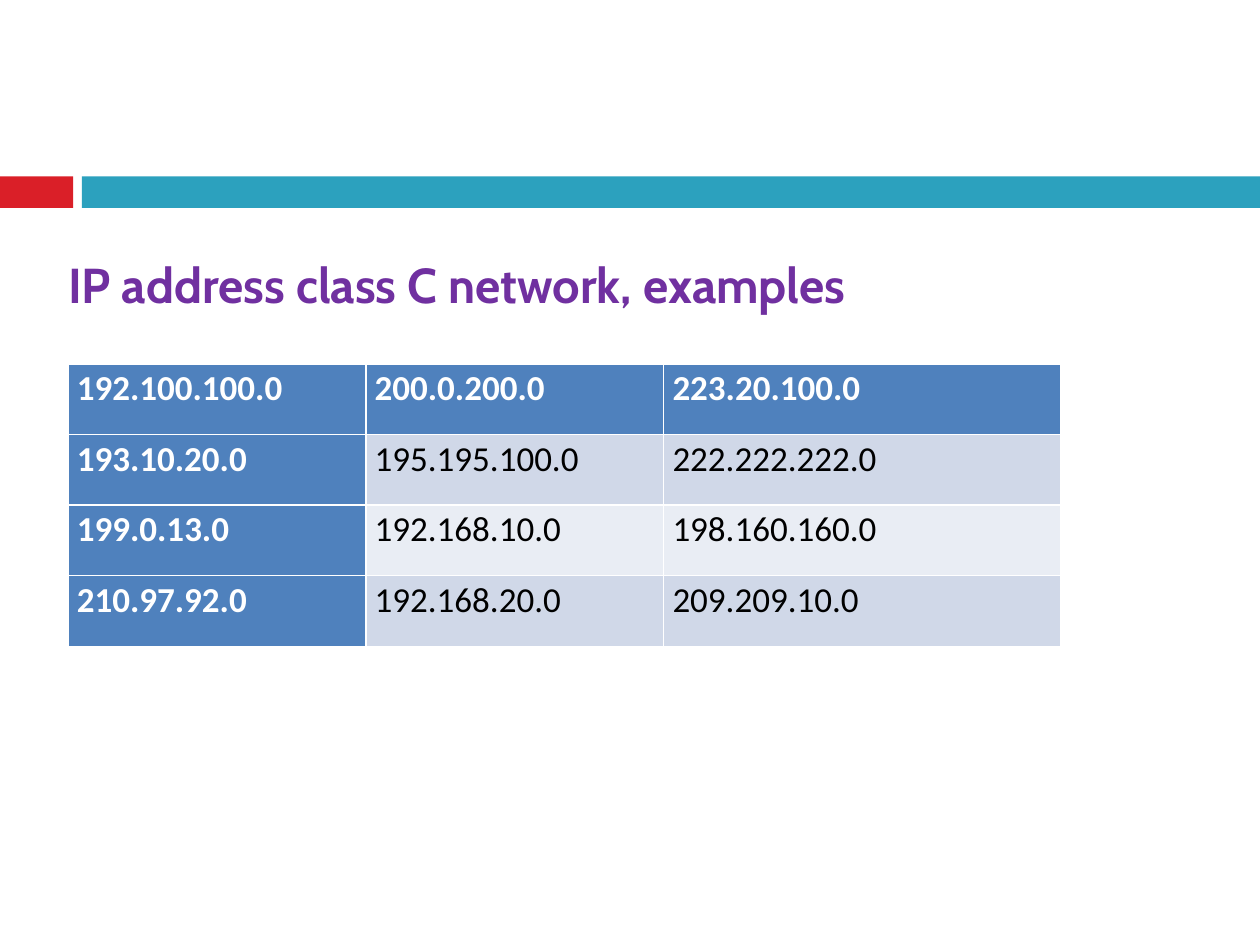
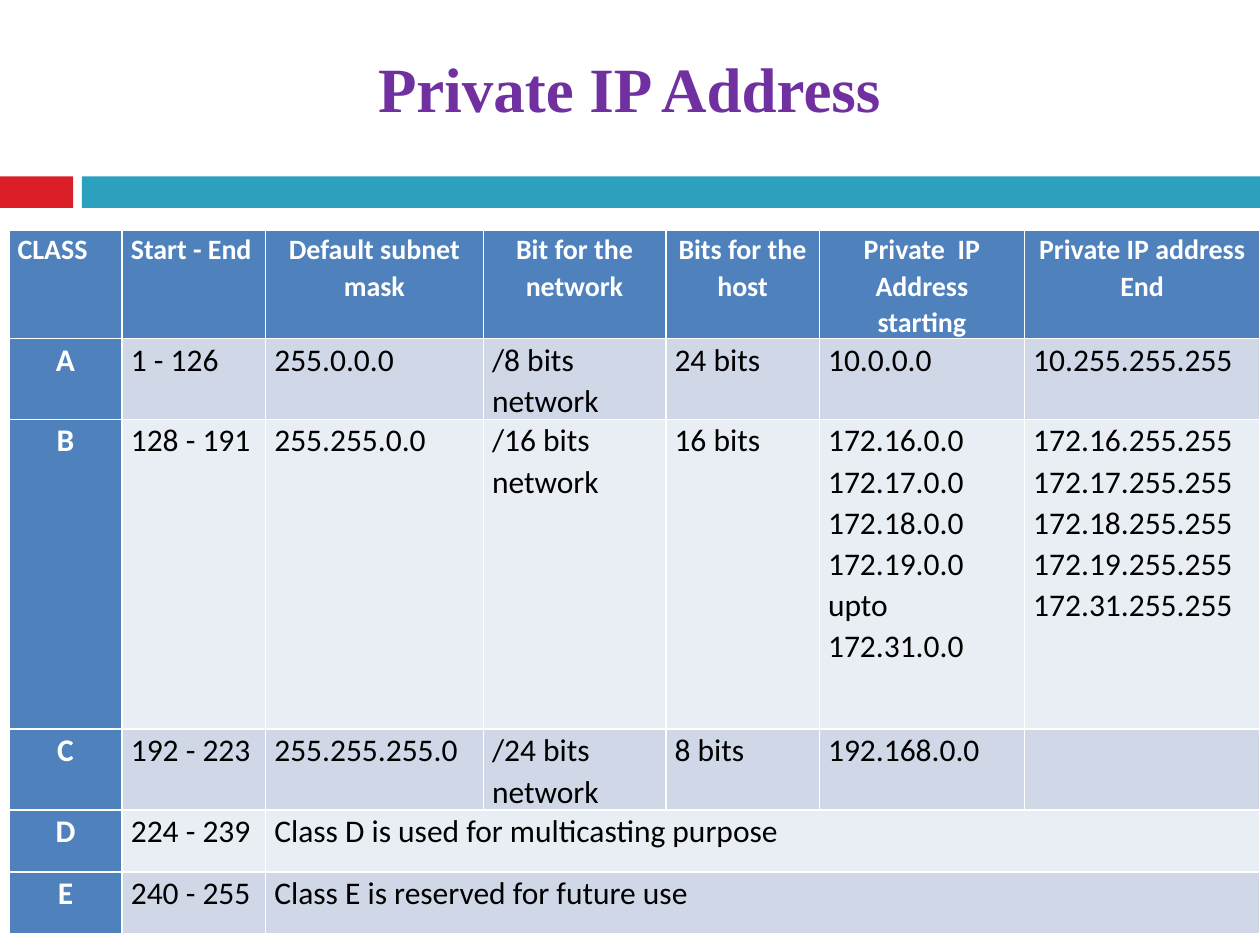
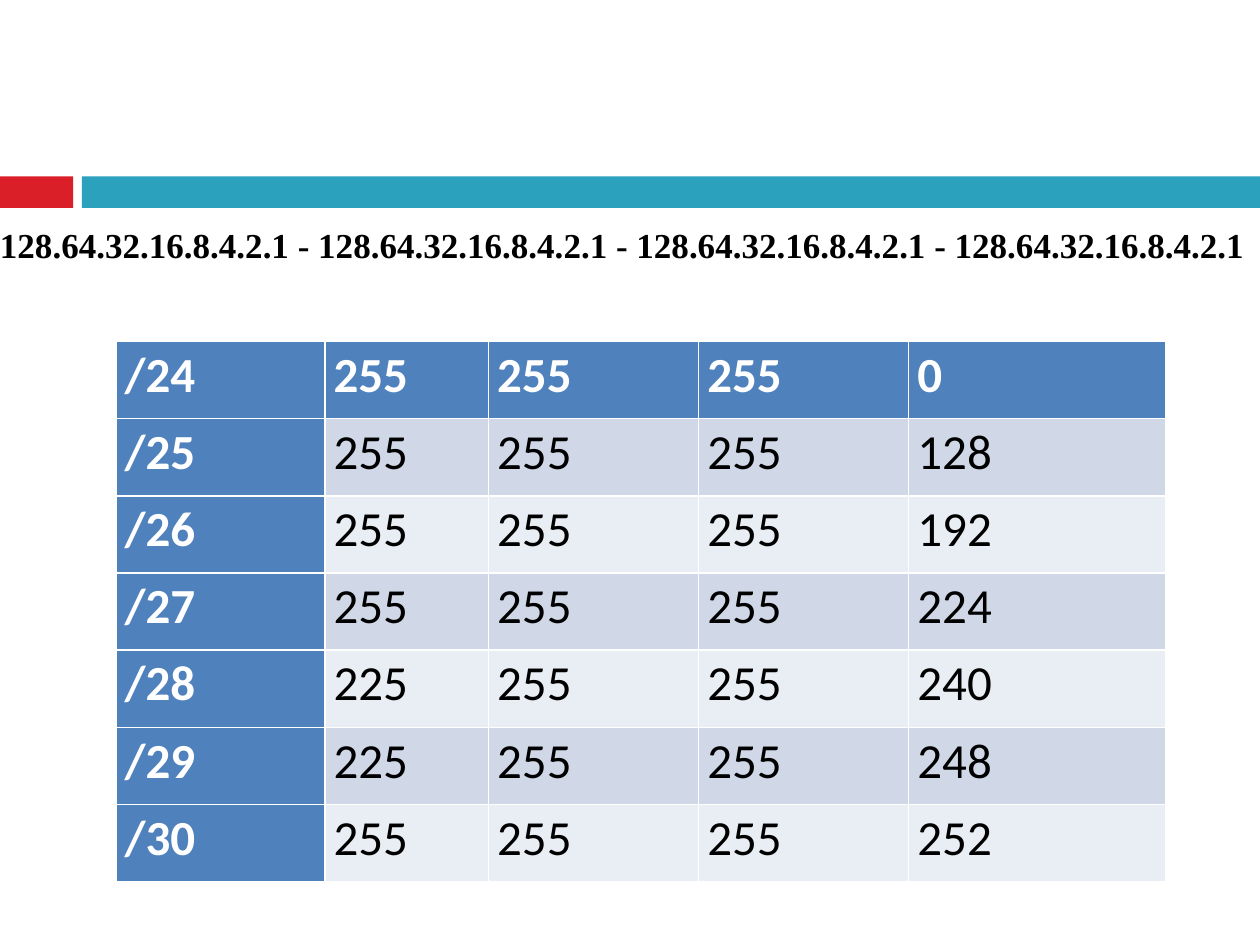
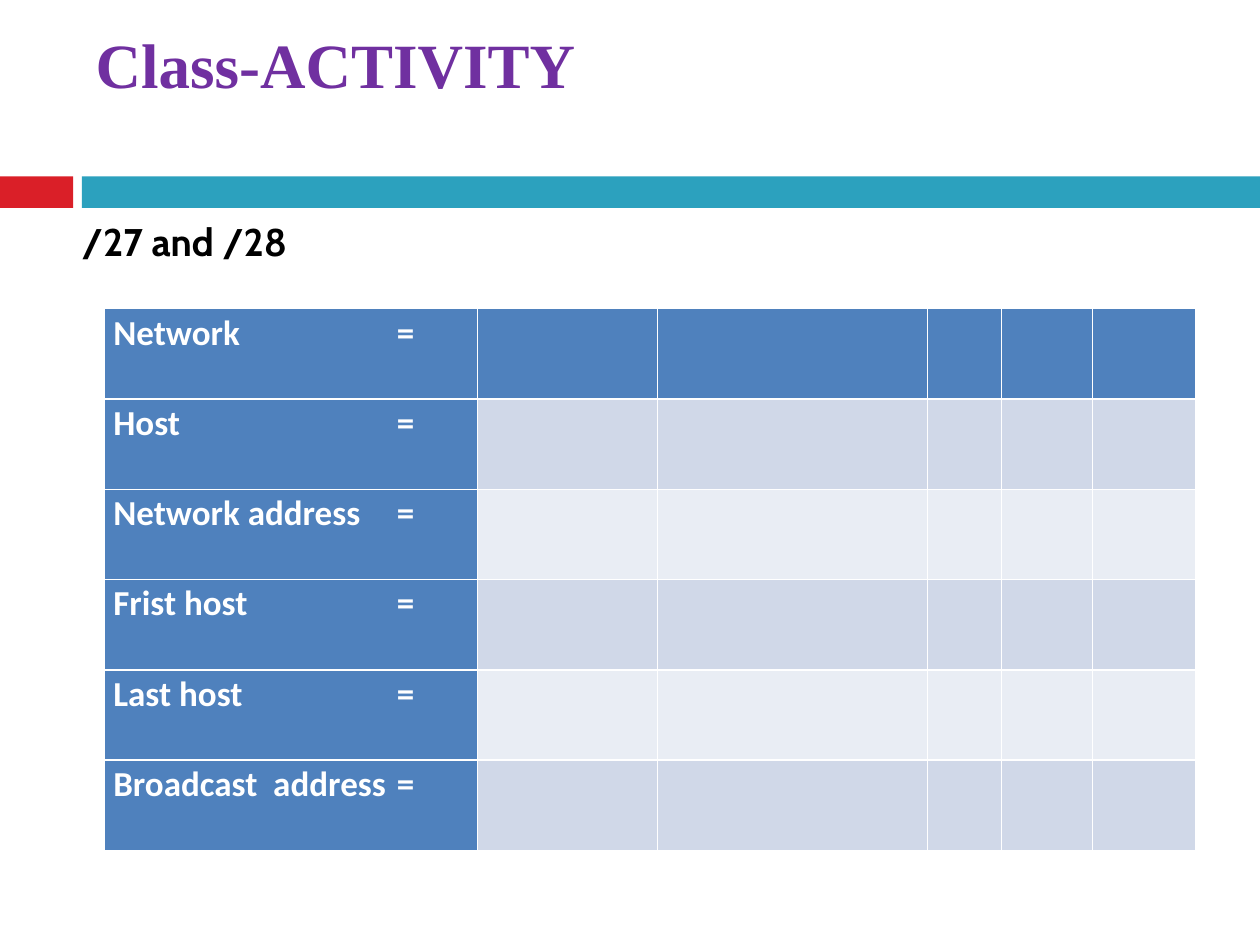
from dataclasses import dataclass

from lxml.etree import SubElement
from pptx import Presentation
from pptx.dml.color import RGBColor
from pptx.enum.shapes import MSO_SHAPE as Shape
from pptx.enum.text import PP_ALIGN as Align
from pptx.oxml.ns import qn
from pptx.util import Emu, Inches, Pt


@dataclass(frozen=True)
class Theme:
    red: str = "DA1F28"
    teal: str = "2CA1BE"
    purple: str = "7030A0"
    black: str = "000000"
    white: str = "FFFFFF"
    header: str = "4F81BD"
    dark_row: str = "D0D8E8"
    light_row: str = "E9EDF4"
    serif: str = "Times New Roman"
    sans: str = "Cabin"
    table_font: str = "Calibri"
    title_size: int = 36
    heading_size: int = 28
    prefix_size: int = 22
    note_size: int = 20
    small_size: int = 16
    private_size: int = 18
    line_spacing: float = 1.07
    cell_margin: float = 0.07


THEME = Theme()
SLIDE_WIDTH, SLIDE_HEIGHT = Inches(10), Inches(7.5)


@dataclass(frozen=True)
class Box:
    """Edges in percent of the slide's width and height."""

    left: float
    top: float
    width: float
    height: float

    def lengths(self):
        return (
            Emu(round(SLIDE_WIDTH * self.left / 100)),
            Emu(round(SLIDE_HEIGHT * self.top / 100)),
            Emu(round(SLIDE_WIDTH * self.width / 100)),
            Emu(round(SLIDE_HEIGHT * self.height / 100)),
        )


BANDS = (
    (Box(0, 18.67, 5.8, 3.33), THEME.red),
    (Box(6.5, 18.67, 93.5, 3.33), THEME.teal),
)


def style_paragraph(paragraph, font_name, size, color, bold=True):
    font = paragraph.font
    font.name, font.size, font.bold = font_name, Pt(size), bold
    font.color.rgb = RGBColor.from_string(color)


def add_banded_slide(presentation):
    slide = presentation.slides.add_slide(presentation.slide_layouts[6])
    for box, color in BANDS:
        band = slide.shapes.add_shape(Shape.RECTANGLE, *box.lengths())
        band.shadow.inherit = False
        band.fill.solid()
        band.fill.fore_color.rgb = RGBColor.from_string(color)
        band.line.fill.background()
    return slide


def add_text(slide, box, text, font_name, size, color, align=Align.LEFT, inset=0.02):
    frame = slide.shapes.add_textbox(*box.lengths()).text_frame
    frame.word_wrap = True
    frame.margin_left = frame.margin_right = frame.margin_bottom = 0
    frame.margin_top = Inches(inset)
    frame.text = text
    paragraph = frame.paragraphs[0]
    paragraph.alignment = align
    style_paragraph(paragraph, font_name, size, color)


def add_title(slide, box, text, align=Align.LEFT, inset=0.1):
    add_text(slide, box, text, THEME.serif, THEME.title_size, THEME.purple, align, inset)


def share_out(total, weights):
    return [Emu(round(total * weight / sum(weights))) for weight in weights]


def fill_cell(cell, text, size, row, column):
    is_header = row == 0 or column == 0
    cell.margin_left = cell.margin_right = Inches(THEME.cell_margin)
    cell.margin_top = cell.margin_bottom = 0
    cell.fill.solid()
    fill = THEME.header if is_header else (THEME.light_row, THEME.dark_row)[row % 2]
    cell.fill.fore_color.rgb = RGBColor.from_string(fill)
    cell.text = text
    for paragraph in cell.text_frame.paragraphs:
        paragraph.line_spacing = THEME.line_spacing
        color = THEME.white if is_header else THEME.black
        style_paragraph(paragraph, THEME.table_font, size, color, is_header)


def add_grid(slide, box, rows, column_weights, size, row_weights=None):
    row_weights = row_weights or [1] * len(rows)
    left, top, width, height = box.lengths()
    table = slide.shapes.add_table(
        len(rows), len(column_weights), left, top, width, height
    ).table
    table.first_col = True
    for column, length in zip(table.columns, share_out(width, column_weights)):
        column.width = length
    for table_row, length in zip(table.rows, share_out(height, row_weights)):
        table_row.height = length
    for row, texts in enumerate(rows):
        for column in range(len(column_weights)):
            text = texts[column] if column < len(texts) else ""
            fill_cell(table.cell(row, column), text, size, row, column)
    return table


def set_tab_stop(paragraph, position):
    properties = paragraph.font._element.getparent()
    tab_list = SubElement(properties, qn("a:tabLst"))
    SubElement(tab_list, qn("a:tab"), pos=str(Inches(position)), algn="l")
    paragraph.font._element.addprevious(tab_list)


def build_class_c_slide(presentation):
    slide = add_banded_slide(presentation)
    add_text(
        slide, Box(5.4, 26.67, 89.6, 11.87), "IP address class C network, examples",
        THEME.sans, THEME.heading_size, THEME.purple,
    )
    networks = [
        ("192.100.100.0", "200.0.200.0", "223.20.100.0"),
        ("193.10.20.0", "195.195.100.0", "222.222.222.0"),
        ("199.0.13.0", "192.168.10.0", "198.160.160.0"),
        ("210.97.92.0", "192.168.20.0", "209.209.10.0"),
    ]
    add_grid(slide, Box(5.4, 38.53, 78.8, 29.87), networks, [3, 3, 4], THEME.note_size)


def build_private_address_slide(presentation):
    slide = add_banded_slide(presentation)
    add_title(slide, Box(7.5, 4.4, 84.9, 16.13), "Private IP Address", Align.CENTER, 0.06)
    starts = [f"172.{number}.0.0" for number in (16, 17, 18, 19, 31)]
    starts[3] += " upto"
    ends = [f"172.{number}.255.255" for number in (16, 17, 18, 19, 31)]
    classes = [
        ("CLASS", "Start - End", "Default subnet mask", "Bit for the network",
         "Bits for the host", "Private  IP Address starting", "Private IP address End"),
        ("A", "1 - 126", "255.0.0.0", "/8 bits network", "24 bits", "10.0.0.0",
         "10.255.255.255"),
        ("B", "128 - 191", "255.255.0.0", "/16 bits network", "16 bits",
         "\n".join(starts), "\n".join(ends)),
        ("C", "192 - 223", "255.255.255.0", "/24 bits network", "8 bits", "192.168.0.0"),
        ("D", "224 - 239", "Class D is used for multicasting purpose"),
        ("E", "240 - 255", "Class E is reserved for future use"),
    ]
    table = add_grid(
        slide, Box(0.7, 24.4, 99.3, 68.8), classes,
        [0.9, 1.14, 1.73, 1.45, 1.22, 1.63, 1.87], THEME.private_size,
        [0.74, 0.49, 2.46, 0.49, 0.49, 0.49],
    )
    for column, cell in enumerate(table.rows[0].cells):
        paragraph = cell.text_frame.paragraphs[0]
        paragraph.font.size = Pt(THEME.small_size)
        paragraph.alignment = Align.CENTER if column > 1 else Align.LEFT
    for row in range(1, len(classes)):
        table.cell(row, 0).text_frame.paragraphs[0].alignment = Align.CENTER
    for row in (4, 5):
        table.cell(row, 2).merge(table.cell(row, 6))


def build_prefix_slide(presentation):
    slide = add_banded_slide(presentation)
    octet = "128.64.32.16.8.4.2.1"
    add_text(
        slide, Box(0, 23.33, 100, 8.93), " - ".join([octet] * 4),
        THEME.serif, THEME.note_size, THEME.black,
    )
    masks = [
        ("/24", "255", "255", "255", "0"),
        ("/25", "255", "255", "255", "128"),
        ("/26", "255", "255", "255", "192"),
        ("/27", "255", "255", "255", "224"),
        ("/28", "225", "255", "255", "240"),
        ("/29", "225", "255", "255", "248"),
        ("/30", "255", "255", "255", "252"),
    ]
    add_grid(
        slide, Box(9.2, 36.13, 83.3, 57.2), masks,
        [1.66, 1.3, 1.67, 1.67, 2.04], THEME.heading_size,
    )


def build_activity_slide(presentation):
    slide = add_banded_slide(presentation)
    add_title(slide, Box(7.6, 1.33, 84.9, 18), "Class-ACTIVITY")
    add_text(
        slide, Box(6.5, 22.8, 87.1, 9.87), "/27 and /28",
        THEME.sans, THEME.prefix_size, THEME.black,
    )
    labels = ("Network", "Host", "Network address", "Frist host", "Last host",
              "Broadcast  address")
    table = add_grid(
        slide, Box(8.3, 32.67, 86.6, 57.33), [(f"{label}\t=",) for label in labels],
        [2.96, 1.43, 2.14, 0.59, 0.72, 0.82], THEME.note_size,
    )
    for row in range(len(labels)):
        set_tab_stop(table.cell(row, 0).text_frame.paragraphs[0], 2.25)


def main():
    presentation = Presentation()
    presentation.slide_width, presentation.slide_height = SLIDE_WIDTH, SLIDE_HEIGHT
    build_class_c_slide(presentation)
    build_private_address_slide(presentation)
    build_prefix_slide(presentation)
    build_activity_slide(presentation)
    presentation.save("out.pptx")


if __name__ == "__main__":
    main()
